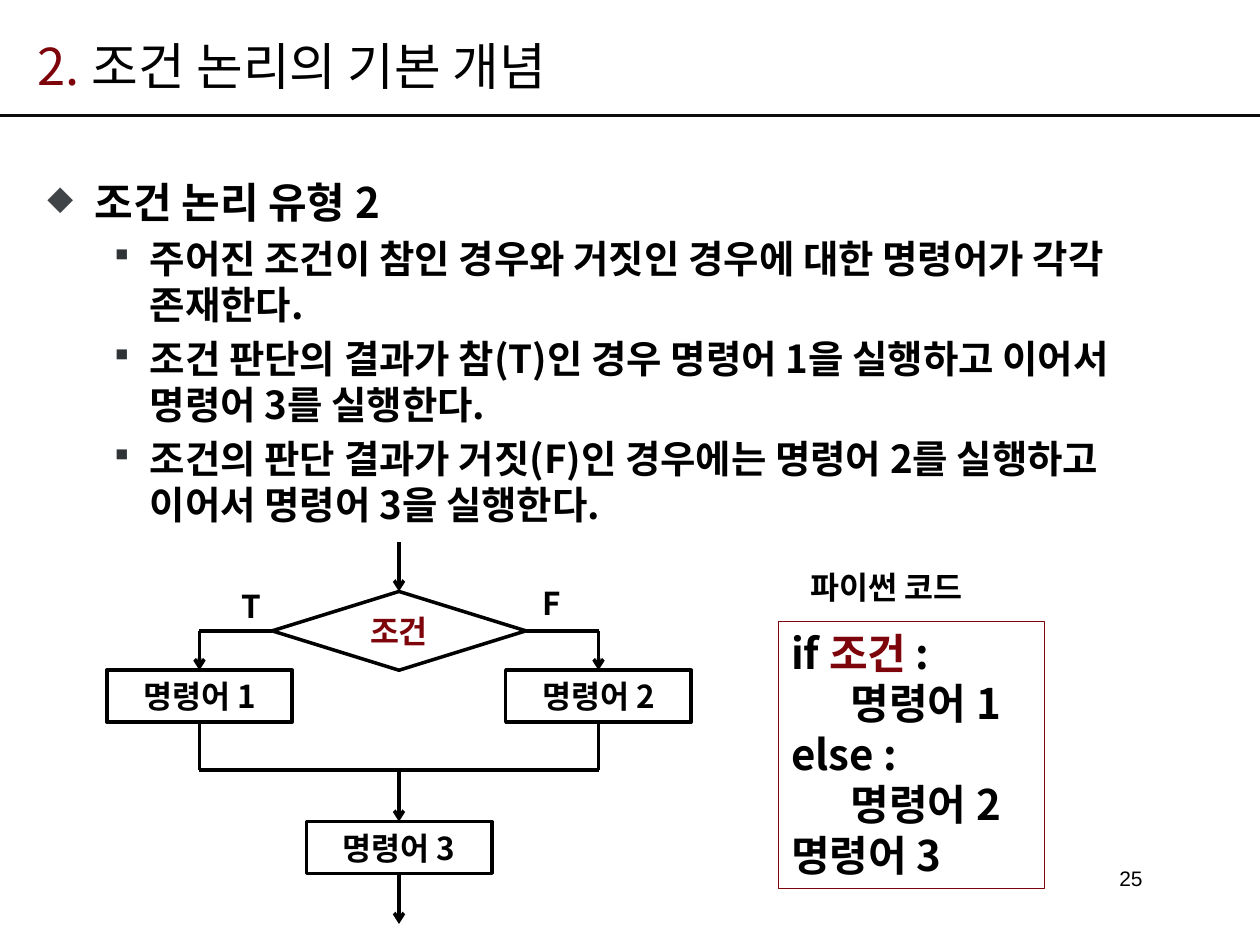
from lxml import etree
from pptx import Presentation
from pptx.dml.color import RGBColor
from pptx.enum.shapes import MSO_CONNECTOR, MSO_SHAPE
from pptx.enum.text import MSO_ANCHOR, MSO_AUTO_SIZE, PP_ALIGN
from pptx.oxml.ns import qn
from pptx.util import Pt

BLACK = RGBColor(0x00, 0x00, 0x00)
RULE = RGBColor(0x0D, 0x0D, 0x0D)
MAROON = RGBColor(0x7E, 0x04, 0x0B)
KOREAN = "Noto Sans CJK KR"
STRAIGHT = MSO_CONNECTOR.STRAIGHT
DECISION = MSO_SHAPE.FLOWCHART_DECISION
PROCESS = MSO_SHAPE.FLOWCHART_PROCESS
RECTANGLE = MSO_SHAPE.RECTANGLE
LEFT, CENTER, RIGHT = PP_ALIGN.LEFT, PP_ALIGN.CENTER, PP_ALIGN.RIGHT
TOP, MIDDLE = MSO_ANCHOR.TOP, MSO_ANCHOR.MIDDLE
SIDE_TOP, SIDE_LEFT, SIDE_BOTTOM, SIDE_RIGHT = range(4)

# Flowchart grid, in points
MAIN_X, BRANCH = 228, 114
BOX_WIDTH, BOX_HEIGHT = 106, 29.5
BRANCH_Y, MERGE_Y, LAST_Y = 383, 440, 469.5

POINTS = [
    "주어진 조건이 참인 경우와 거짓인 경우에 대한 명령어가 각각 존재한다.",
    "조건 판단의 결과가 참(T)인 경우 명령어 1을 실행하고 이어서 명령어 3를 실행한다.",
    "조건의 판단 결과가 거짓(F)인 경우에는 명령어 2를 실행하고 이어서 명령어 3을 실행한다.",
]
# Each code line: indent and coloured parts
CODE = [
    (0, [("if ", BLACK), ("조건 ", MAROON), (":", BLACK)]),
    (34, [("명령어 1", BLACK)]),
    (0, [("else :", BLACK)]),
    (34, [("명령어 2", BLACK)]),
    (0, [("명령어 3", BLACK)]),
]


def write(para, parts, size, bold=True, align=LEFT, name=KOREAN):
    para.alignment = align
    font = para.font
    font.name, font.size, font.bold = name, Pt(size), bold
    if len(parts) == 1:
        font.color.rgb = parts[0][1]
    for words, color in parts:
        span = para.add_run()
        span.text = words
        if len(parts) > 1:
            span.font.color.rgb = color


def add_text(page, words, left, top, width, height, size=18, **style):
    box = page.shapes.add_textbox(Pt(left), Pt(top), Pt(width), Pt(height))
    box.text_frame.word_wrap = True
    write(box.text_frame.paragraphs[0], [(words, BLACK)], size, **style)
    return box


def set_bullet(para, mark, color, left, hanging):
    props = para._p.get_or_add_pPr()
    props.set("marL", str(Pt(left)))
    props.set("indent", str(Pt(-hanging)))
    bullet_color = etree.Element(qn("a:buClr"))
    etree.SubElement(bullet_color, qn("a:srgbClr"), val=color)
    bullet_size = etree.Element(qn("a:buSzPct"), val="80000")
    bullet = etree.Element(qn("a:buChar"), char=mark)
    # Bullet settings stand before the default run properties
    for element in (bullet_color, bullet_size, bullet):
        props.find(qn("a:defRPr")).addprevious(element)


def add_outline(page, kind, left, top, width, height, color=BLACK, weight=2):
    shape = page.shapes.add_shape(kind, Pt(left), Pt(top), Pt(width), Pt(height))
    shape.shadow.inherit = False
    shape.fill.background()
    shape.line.color.rgb = color
    shape.line.width = Pt(weight)
    return shape


def add_step(page, words, kind, center, top, width=BOX_WIDTH,
             height=BOX_HEIGHT, color=BLACK):
    step = add_outline(page, kind, center - width / 2, top, width, height)
    frame = step.text_frame
    frame.word_wrap = False
    frame.vertical_anchor = MIDDLE
    frame.margin_top = frame.margin_bottom = 0
    write(frame.paragraphs[0], [(words, color)], 18, align=CENTER)
    return step


def add_line(page, start, end, begin=None, finish=None, arrow=False,
             color=BLACK, weight=2):
    line = page.shapes.add_connector(STRAIGHT, *map(Pt, start + end))
    line.line.color.rgb = color
    line.line.width = Pt(weight)
    if arrow:
        etree.SubElement(line.line._get_or_add_ln(), qn("a:tailEnd"), type="arrow")
    etree.SubElement(line._element.spPr, qn("a:effectLst"))
    if begin:
        line.begin_connect(*begin)
    if finish:
        line.end_connect(*finish)


def add_title(page):
    title = page.shapes.title
    title.left, title.top, title.width, title.height = map(Pt, (14.4, 15, 607, 44))
    frame = title.text_frame
    frame.auto_size = MSO_AUTO_SIZE.NONE
    frame.vertical_anchor = MIDDLE
    write(frame.paragraphs[0], [("2. ", MAROON), ("조건 논리의 기본 개념", BLACK)],
          29, bold=False)


def add_body(page):
    body = add_text(page, "조건 논리 유형 2", 20, 83, 669, 385, size=24)
    heading = body.text_frame.paragraphs[0]
    heading.line_spacing = 1.5
    heading.space_before = Pt(4.8)
    set_bullet(heading, "◆", "404447", 27, 27)
    for point in POINTS:
        para = body.text_frame.add_paragraph()
        write(para, [(point, BLACK)], 22)
        para.space_before = Pt(4.4)
        set_bullet(para, "▪", "313437", 58.5, 22.5)


def add_flowchart(page):
    left_x, right_x = MAIN_X - BRANCH, MAIN_X + BRANCH
    condition = add_step(page, "조건", DECISION, MAIN_X, 338, 145, 45, MAROON)
    last = add_step(page, "명령어 3", PROCESS, MAIN_X, LAST_Y)
    add_line(page, (MAIN_X, 310), (MAIN_X, 338),
             finish=(condition, SIDE_TOP), arrow=True)

    # Two branches that meet on the merge line
    for words, x, side in (("명령어 1", left_x, SIDE_LEFT),
                           ("명령어 2", right_x, SIDE_RIGHT)):
        step = add_step(page, words, PROCESS, x, BRANCH_Y)
        add_line(page, (MAIN_X, 360.5), (x, 360.5), begin=(condition, side))
        add_line(page, (x, 360.5), (x, BRANCH_Y),
                 finish=(step, SIDE_TOP), arrow=True)
        add_line(page, (x, BRANCH_Y + BOX_HEIGHT), (x, MERGE_Y),
                 begin=(step, SIDE_BOTTOM))
    add_line(page, (left_x, MERGE_Y), (right_x, MERGE_Y))
    add_line(page, (MAIN_X, MERGE_Y), (MAIN_X, LAST_Y),
             finish=(last, SIDE_TOP), arrow=True)
    add_line(page, (MAIN_X, LAST_Y + BOX_HEIGHT), (MAIN_X, 528),
             begin=(last, SIDE_BOTTOM), arrow=True)
    add_text(page, "T", 131, 332, 25, 29, align=CENTER)
    add_text(page, "F", 303, 330, 25, 29, align=CENTER)


def add_code(page):
    add_text(page, "파이썬 코드", 446, 321, 121, 29, align=CENTER)
    code = add_outline(page, RECTANGLE, 445, 355, 152, 152.6, MAROON, 0.25)
    frame = code.text_frame
    frame.word_wrap = False
    frame.vertical_anchor = TOP
    for number, (indent, parts) in enumerate(CODE):
        para = frame.add_paragraph() if number else frame.paragraphs[0]
        write(para, parts, 24)
        para._p.get_or_add_pPr().set("marL", str(Pt(indent)))


def main():
    deck = Presentation()
    deck.slide_width, deck.slide_height = Pt(720), Pt(540)
    page = deck.slides.add_slide(deck.slide_layouts[5])
    add_line(page, (0, 66), (720, 66), color=RULE, weight=1.5)
    add_title(page)
    add_body(page)
    add_flowchart(page)
    add_code(page)
    # Page number
    add_text(page, "25", 496, 491, 164, 20, size=12, bold=False,
             align=RIGHT, name="Arial")
    deck.save("out.pptx")


if __name__ == "__main__":
    main()
